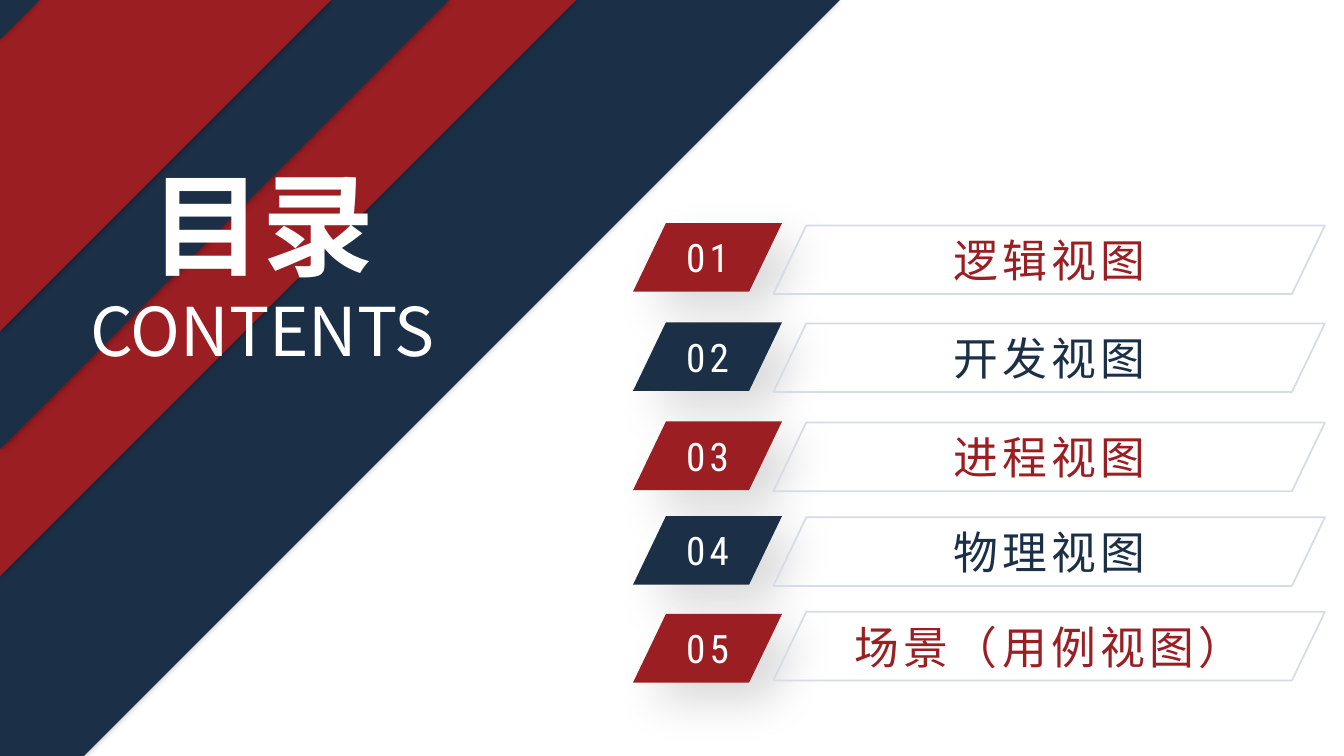
import dataclasses

import lxml.etree
import pptx
import pptx.dml.color
import pptx.enum.shapes
import pptx.enum.text
import pptx.oxml.ns
import pptx.util

Pt = pptx.util.Pt


@dataclasses.dataclass(frozen=True)
class Theme:
    navy: str = "1B2F47"
    red: str = "9B1E23"
    white: str = "FFFFFF"
    outline: str = "D6DCE5"
    heading_font: str = "Noto Sans CJK JP"
    subtitle_font: str = "Noto Sans CJK SC"
    number_font: str = "Roboto Condensed"
    title_size: float = 80
    subtitle_size: float = 48
    item_size: float = 32
    number_size: float = 28
    band_shadow: tuple = (40, 5, 0, 0)
    badge_shadow: tuple = (14, 32, 19, 45)


def rgb(color):
    return pptx.dml.color.RGBColor.from_string(color)


def add_element(parent, tag, **attributes):
    element = lxml.etree.SubElement(parent, pptx.oxml.ns.qn(tag))
    for name, value in attributes.items():
        element.set(name, str(value))
    return element


def write_text(paragraph, text, *, font, size, color, bold=False, spacing=0):
    paragraph.alignment = pptx.enum.text.PP_ALIGN.CENTER
    run = paragraph.add_run()
    run.text = text
    run.font.size = Pt(size)
    run.font.bold = bold
    run.font.color.rgb = rgb(color)
    run.font.name = font
    properties = run._r.get_or_add_rPr()
    add_element(properties, "a:ea", typeface=font)
    if spacing:
        properties.set("spc", str(spacing * 100))


class ContentsSlide:
    def __init__(self, presentation, theme):
        self.theme = theme
        self.slide = presentation.slides.add_slide(presentation.slide_layouts[6])

    def paint(self, shape, fill=None, line=None, shadow=None):
        shape.shadow.inherit = False
        if fill:
            shape.fill.solid()
            shape.fill.fore_color.rgb = rgb(fill)
        else:
            shape.fill.background()
        if line:
            shape.line.color.rgb = rgb(line)
            shape.line.width = Pt(1.25)
        else:
            shape.line.fill.background()
        if shadow:
            opacity, blur, distance, angle = shadow
            effects = shape._element.spPr.find(pptx.oxml.ns.qn("a:effectLst"))
            outer = add_element(effects, "a:outerShdw", blurRad=Pt(blur), dist=Pt(distance),
                                dir=angle * 60000, algn="ctr", rotWithShape=0)
            color = add_element(outer, "a:srgbClr", val="000000")
            add_element(color, "a:alpha", val=opacity * 1000)

    def band(self, points, color):
        corners = [(Pt(x), Pt(y)) for x, y in points]
        builder = self.slide.shapes.build_freeform(*corners[0])
        builder.add_line_segments(corners[1:], close=True)
        self.paint(builder.convert_to_shape(), fill=color, shadow=self.theme.band_shadow)

    def title(self, heading, subtitle):
        theme = self.theme
        box = self.slide.shapes.add_textbox(Pt(13), Pt(107.3), Pt(349), Pt(162.7))
        frame = box.text_frame
        frame.word_wrap = True
        frame.auto_size = pptx.enum.text.MSO_AUTO_SIZE.SHAPE_TO_FIT_TEXT
        write_text(frame.paragraphs[0], heading, font=theme.heading_font,
                   size=theme.title_size, color=theme.white, bold=True)
        write_text(frame.add_paragraph(), subtitle, font=theme.subtitle_font,
                   size=theme.subtitle_size, color=theme.white)

    def parallelogram(self, left, top, width, text, text_format, margins=(7.2, 3.6), **style):
        shape = self.slide.shapes.add_shape(
            pptx.enum.shapes.MSO_SHAPE.PARALLELOGRAM, Pt(left), Pt(top), Pt(width), Pt(49))
        shape.adjustments[0] = 0.48
        self.paint(shape, **style)
        frame = shape.text_frame
        frame.vertical_anchor = pptx.enum.text.MSO_ANCHOR.MIDDLE
        frame.margin_left = frame.margin_right = Pt(margins[0])
        frame.margin_top = frame.margin_bottom = Pt(margins[1])
        write_text(frame.paragraphs[0], text, spacing=3, **text_format)

    def item(self, number, text, color, badge_top, frame_top):
        theme = self.theme
        number_format = dict(font=theme.number_font, size=theme.number_size, color=theme.white)
        item_format = dict(font=theme.heading_font, size=theme.item_size, color=color)
        self.parallelogram(452.2, badge_top, 106.4, f"{number:02d}", number_format,
                           fill=color, shadow=theme.badge_shadow)
        self.parallelogram(552.4, frame_top, 394, text, item_format,
                           margins=(5, 3), line=theme.outline)


def main():
    presentation = pptx.Presentation()
    presentation.slide_width = Pt(960)
    presentation.slide_height = Pt(540)
    theme = Theme()
    contents = ContentsSlide(presentation, theme)

    colors = (theme.navy, theme.red)
    contents.band([(364.5, 0), (600, 0), (60, 540), (0, 540), (0, 364.5)], theme.navy)
    stripes = [(176, 411.5), (85, 320.8), (0, 236.5), (0, 28.3)]
    for index, (inner, outer) in enumerate(stripes, start=1):
        inner_edge = [(0, inner), (inner, 0)] if inner else [(0, 0)]
        contents.band(inner_edge + [(outer, 0), (0, outer)], colors[index % 2])

    contents.title("目录", "CONTENTS")

    items = [
        ("逻辑视图", 159.3, 161),
        ("开发视图", 230.2, 231),
        ("进程视图", 301, 301.8),
        ("物理视图", 368.6, 369.5),
        ("场景（用例视图）", 438.5, 437),
    ]
    for number, (text, badge_top, frame_top) in enumerate(items, start=1):
        contents.item(number, text, colors[number % 2], badge_top, frame_top)

    presentation.save("out.pptx")


if __name__ == "__main__":
    main()
